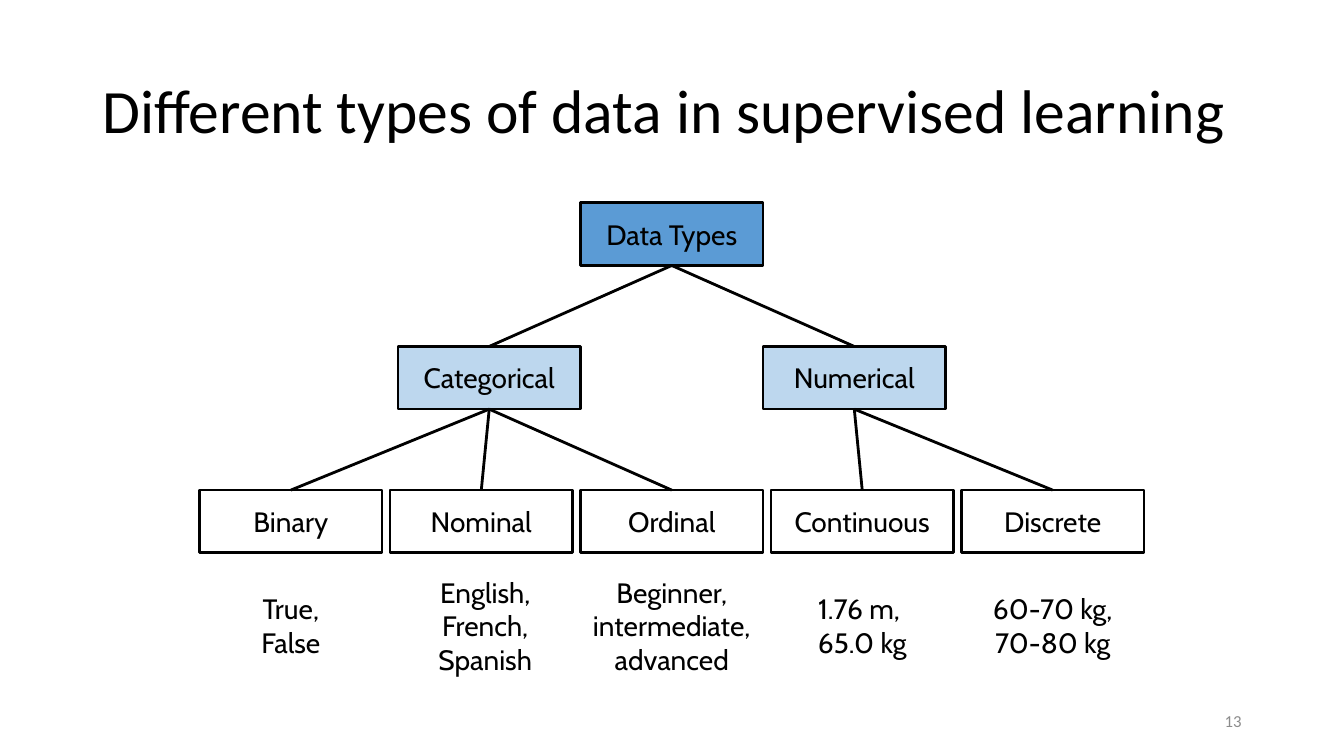
from dataclasses import dataclass

from lxml import etree
from pptx import Presentation
from pptx.dml.color import RGBColor
from pptx.enum.shapes import MSO_CONNECTOR, MSO_SHAPE
from pptx.enum.text import MSO_ANCHOR, MSO_AUTO_SIZE, PP_ALIGN
from pptx.oxml.ns import qn
from pptx.util import Cm, Pt

RECTANGLE = MSO_SHAPE.RECTANGLE
STRAIGHT = MSO_CONNECTOR.STRAIGHT
MIDDLE = MSO_ANCHOR.MIDDLE
FIT_SHAPE = MSO_AUTO_SIZE.SHAPE_TO_FIT_TEXT
LEFT, CENTER, RIGHT = PP_ALIGN.LEFT, PP_ALIGN.CENTER, PP_ALIGN.RIGHT
TOP_SITE, BOTTOM_SITE = 0, 2


@dataclass(frozen=True)
class Theme:
    """Colours, fonts and type sizes of the slide."""

    ink: RGBColor = RGBColor(0, 0, 0)
    muted: RGBColor = RGBColor(0x8C, 0x8C, 0x8C)
    root: RGBColor = RGBColor(0x5B, 0x9B, 0xD5)
    branch: RGBColor = RGBColor(0xBD, 0xD7, 0xEE)
    heading_font: str = "Calibri"
    diagram_font: str = "Cabin"
    title_size: int = 44
    diagram_size: int = 20
    number_size: int = 12
    line_width: int = 2


THEME = Theme()
AXIS = 16.93
NODE_WIDTH, NODE_HEIGHT = 4.6, 1.58
LEVEL_TOPS = [5.11 + 3.62 * level for level in range(3)]
LEAF_PITCH = 4.8
EXAMPLE_MIDDLE = 15.76

TREE = {
    "Categorical": [
        ("Binary", ["True, False"], 2, 2.49, 0),
        ("Nominal", ["English, French, Spanish"], 3, NODE_WIDTH, 0.1),
        ("Ordinal", ["Beginner, intermediate, advanced"], 3, NODE_WIDTH, 0),
    ],
    "Numerical": [
        ("Continuous", ["1.76 m, ", "65.0 kg"], 2, NODE_WIDTH, 0),
        ("Discrete", ["60-70 kg,", "70-80 kg"], 2, NODE_WIDTH, 0),
    ],
}


def write_text(shape, lines, font, size, color, alignment, spacing=None):
    """Fill a shape with one paragraph for each line."""
    frame = shape.text_frame
    frame.word_wrap = True
    frame.vertical_anchor = MIDDLE
    for index, line in enumerate(lines):
        paragraph = frame.add_paragraph() if index else frame.paragraphs[0]
        paragraph.alignment = alignment
        if spacing:
            paragraph.line_spacing = spacing
        run = paragraph.add_run()
        run.text = line
        run.font.name = font
        run.font.size = Pt(size)
        run.font.color.rgb = color


def add_text(slide, left, top, width, height, lines, *style):
    """Add a wrapped text box and return it."""
    box = slide.shapes.add_textbox(Cm(left), Cm(top), Cm(width), Cm(height))
    write_text(box, lines, *style)
    return box


def add_node(slide, center, level, label, fill=None):
    """Add an outlined tree node centred on a horizontal position."""
    node = slide.shapes.add_shape(
        RECTANGLE, Cm(center - NODE_WIDTH / 2), Cm(LEVEL_TOPS[level]),
        Cm(NODE_WIDTH), Cm(NODE_HEIGHT))
    node.shadow.inherit = False
    if fill is None:
        node.fill.background()
    else:
        node.fill.solid()
        node.fill.fore_color.rgb = fill
    node.line.color.rgb = THEME.ink
    node.line.width = Pt(THEME.line_width)
    write_text(node, [label], THEME.diagram_font, THEME.diagram_size, THEME.ink, CENTER)
    return node


def link_nodes(slide, parent, child):
    """Join the bottom of a parent node to the top of its child."""
    connector = slide.shapes.add_connector(STRAIGHT, 0, 0, 0, 0)
    connector.begin_connect(parent, BOTTOM_SITE)
    connector.end_connect(child, TOP_SITE)
    connector.line.color.rgb = THEME.ink
    connector.line.width = Pt(THEME.line_width)
    etree.SubElement(connector._element.spPr, qn("a:effectLst"))


def add_example(slide, center, lines, line_count, width):
    """Add the sample values below a leaf, centred on a common middle."""
    height = 0.25 + 0.86 * line_count
    box = add_text(slide, center - width / 2, EXAMPLE_MIDDLE - height / 2, width, height,
                   lines, THEME.diagram_font, THEME.diagram_size, THEME.ink, CENTER)
    box.text_frame.auto_size = FIT_SHAPE


def add_tree(slide):
    """Draw the three levels of data types with their examples."""
    root = add_node(slide, AXIS, 0, "Data Types", THEME.root)
    leaf_center = AXIS - 2 * LEAF_PITCH
    for side, (label, leaves) in zip((-1, 1), TREE.items()):
        branch = add_node(slide, AXIS + side * NODE_WIDTH, 1, label, THEME.branch)
        link_nodes(slide, root, branch)
        for name, examples, line_count, width, offset in leaves:
            leaf = add_node(slide, leaf_center, 2, name)
            link_nodes(slide, branch, leaf)
            add_example(slide, leaf_center + offset, examples, line_count, width)
            leaf_center += LEAF_PITCH


def main():
    """Build the slide and save it."""
    presentation = Presentation()
    presentation.slide_width = Cm(33.87)
    presentation.slide_height = Cm(19.05)
    slide = presentation.slides.add_slide(presentation.slide_layouts[6])
    add_text(slide, 2.33, 1.01, 29.21, 3.68, ["Different types of data in supervised learning"],
             THEME.heading_font, THEME.title_size, THEME.ink, LEFT, 0.9)
    add_text(slide, 23.92, 17.66, 7.62, 1.01, ["13"],
             THEME.heading_font, THEME.number_size, THEME.muted, RIGHT)
    add_tree(slide)
    presentation.save("out.pptx")


if __name__ == "__main__":
    main()
